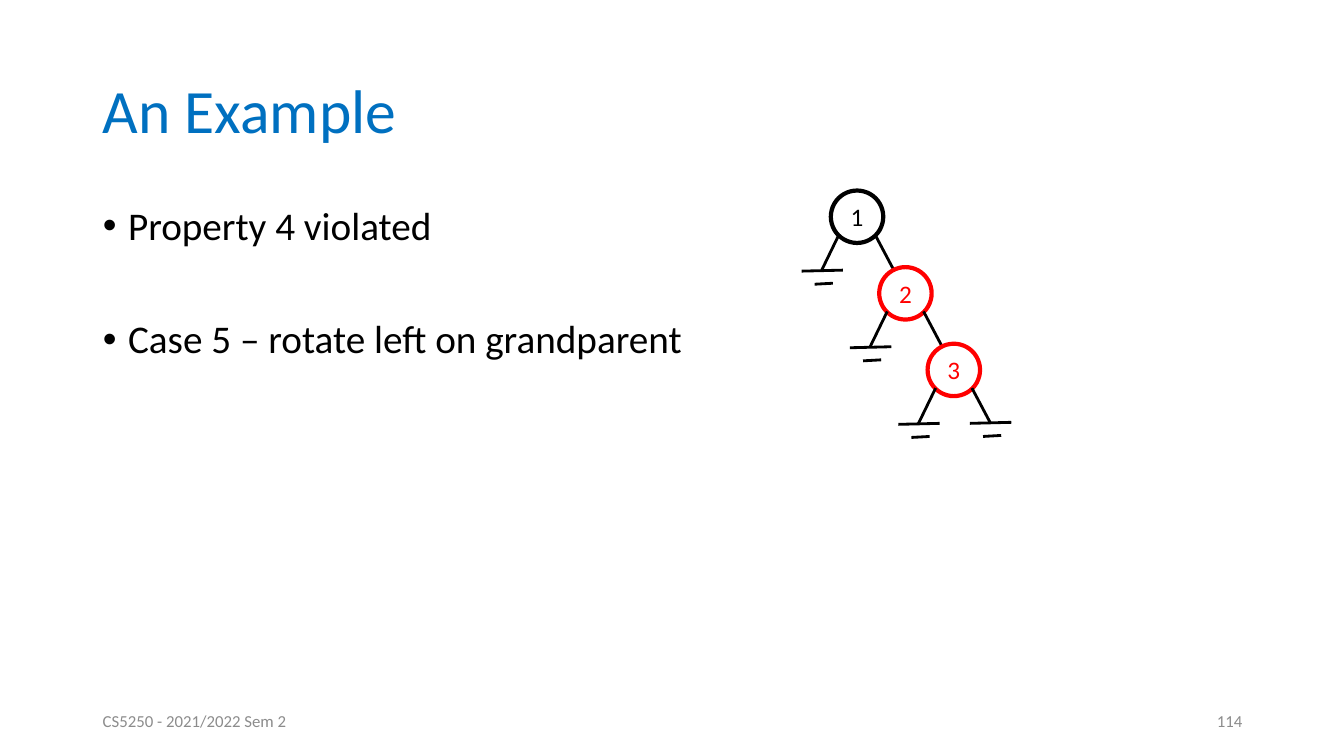
import dataclasses
import typing

import lxml.etree
import pptx
import pptx.dml.color
import pptx.enum.shapes
import pptx.enum.text
import pptx.oxml.ns
import pptx.util

Inches = pptx.util.Inches
Pt = pptx.util.Pt
Align = pptx.enum.text.PP_ALIGN
Anchor = pptx.enum.text.MSO_ANCHOR
qn = pptx.oxml.ns.qn

BLACK, RED, BLUE, GREY = "000000", "FF0000", "0070C0", "8C8C8C"
NODE_SIZE = 0.52
FIRST_NODE = (8.24, 1.89)
LEVEL_STEP = (0.48, 0.76)
RIGHT_LEAF_SHIFT = (0.71, -0.01)


@dataclasses.dataclass(frozen=True)
class Node:
    label: str
    color: str


@dataclasses.dataclass(frozen=True)
class Segment:
    """A line measured in inches from the top left of its node."""
    x1: float
    y1: float
    x2: float
    y2: float


@dataclasses.dataclass(frozen=True)
class FooterText:
    text: str
    left: float
    align: Align


NODES = [Node("1", BLACK), Node("2", RED), Node("3", RED)]
LEFT_EDGE = Segment(0.08, 0.44, -0.09, 0.79)
RIGHT_EDGE = Segment(0.44, 0.44, 0.62, 0.78)
LEAF_BARS = [Segment(0.12, 0.79, -0.29, 0.8), Segment(0.02, 0.92, -0.16, 0.93)]
FOOTERS = [
    FooterText("CS5250 - 2021/2022 Sem 2", 0.92, Align.LEFT),
    FooterText("114", 9.42, Align.RIGHT),
]
# The second point stands one blank line below the first
POINTS = [("Property 4 violated", 0), ("Case 5 – rotate left on grandparent", 50.8)]


def rgb(color: str) -> pptx.dml.color.RGBColor:
    return pptx.dml.color.RGBColor.from_string(color)


def apply_format(target: typing.Any, values: dict[str, typing.Any]) -> None:
    for attribute, value in values.items():
        setattr(target, attribute, value)


def format_font(font: typing.Any, size: float, color: str) -> None:
    apply_format(font, {"name": "Calibri", "size": Pt(size)})
    font.color.rgb = rgb(color)


def place(shape: typing.Any, left: float, top: float, width: float, height: float) -> None:
    apply_format(shape, {"left": Inches(left), "top": Inches(top),
                         "width": Inches(width), "height": Inches(height)})


def add_bullet(paragraph: typing.Any) -> None:
    properties = paragraph._p.get_or_add_pPr()
    properties.set("marL", str(Inches(0.25)))
    properties.set("indent", str(-Inches(0.25)))
    lxml.etree.SubElement(properties, qn("a:buFont")).set("typeface", "Arial")
    lxml.etree.SubElement(properties, qn("a:buChar")).set("char", "•")


def draw_title(slide: typing.Any) -> None:
    title = slide.shapes.title
    place(title, 0.92, 0.4, 11.5, 1.45)
    title.text = "An Example"
    apply_format(title.text_frame, {"vertical_anchor": Anchor.MIDDLE,
                                    "auto_size": pptx.enum.text.MSO_AUTO_SIZE.NONE})
    heading = title.text_frame.paragraphs[0]
    apply_format(heading, {"alignment": Align.LEFT, "line_spacing": 0.9})
    format_font(heading.font, 44, BLUE)


def draw_points(slide: typing.Any) -> None:
    body = slide.placeholders[1]
    place(body, 0.92, 2, 11.5, 4.76)
    frame = body.text_frame
    frame.auto_size = pptx.enum.text.MSO_AUTO_SIZE.NONE
    for index, (text, gap) in enumerate(POINTS):
        point = frame.add_paragraph() if index else frame.paragraphs[0]
        point.text = text
        apply_format(point, {"line_spacing": 0.9, "space_before": Pt(gap)})
        add_bullet(point)
        format_font(point.font, 28, BLACK)


def draw_footer(slide: typing.Any, footer: FooterText) -> None:
    box = slide.shapes.add_textbox(Inches(footer.left), Inches(6.95), Inches(3), Inches(0.4))
    apply_format(box.text_frame, {"word_wrap": True, "vertical_anchor": Anchor.MIDDLE})
    line = box.text_frame.paragraphs[0]
    apply_format(line, {"text": footer.text, "alignment": footer.align})
    format_font(line.font, 12, GREY)


def draw_segment(slide: typing.Any, segment: Segment, left: float, top: float) -> None:
    connector = slide.shapes.add_connector(
        pptx.enum.shapes.MSO_CONNECTOR.STRAIGHT,
        Inches(left + segment.x1), Inches(top + segment.y1),
        Inches(left + segment.x2), Inches(top + segment.y2))
    connector.line.color.rgb = rgb(BLACK)
    connector.line.width = Pt(2)
    lxml.etree.SubElement(connector._element.spPr, qn("a:effectLst"))


def draw_leaf(slide: typing.Any, left: float, top: float) -> None:
    for bar in LEAF_BARS:
        draw_segment(slide, bar, left, top)


def draw_node(slide: typing.Any, node: Node, left: float, top: float) -> None:
    circle = slide.shapes.add_shape(
        pptx.enum.shapes.MSO_SHAPE.OVAL,
        Inches(left), Inches(top), Inches(NODE_SIZE), Inches(NODE_SIZE))
    circle.shadow.inherit = False
    circle.fill.background()
    circle.line.color.rgb = rgb(node.color)
    circle.line.width = Pt(3)
    apply_format(circle.text_frame, {"word_wrap": False, "vertical_anchor": Anchor.MIDDLE})
    label = circle.text_frame.paragraphs[0]
    apply_format(label, {"text": node.label, "alignment": Align.CENTER})
    format_font(label.font, 18, node.color)


def draw_tree(slide: typing.Any) -> None:
    for level, node in enumerate(NODES):
        left, top = (start + level * step for start, step in zip(FIRST_NODE, LEVEL_STEP))
        draw_node(slide, node, left, top)
        draw_segment(slide, LEFT_EDGE, left, top)
        draw_leaf(slide, left, top)
        draw_segment(slide, RIGHT_EDGE, left, top)
    # Only the last node has a leaf on its right
    draw_leaf(slide, left + RIGHT_LEAF_SHIFT[0], top + RIGHT_LEAF_SHIFT[1])


def main() -> None:
    deck = pptx.Presentation()
    apply_format(deck, {"slide_width": Inches(13.33), "slide_height": Inches(7.5)})
    slide = deck.slides.add_slide(deck.slide_layouts[1])

    # Title and list
    draw_title(slide)
    draw_points(slide)

    # Footer
    for footer in FOOTERS:
        draw_footer(slide, footer)

    # Red-black tree
    draw_tree(slide)

    deck.save("out.pptx")


if __name__ == "__main__":
    main()
